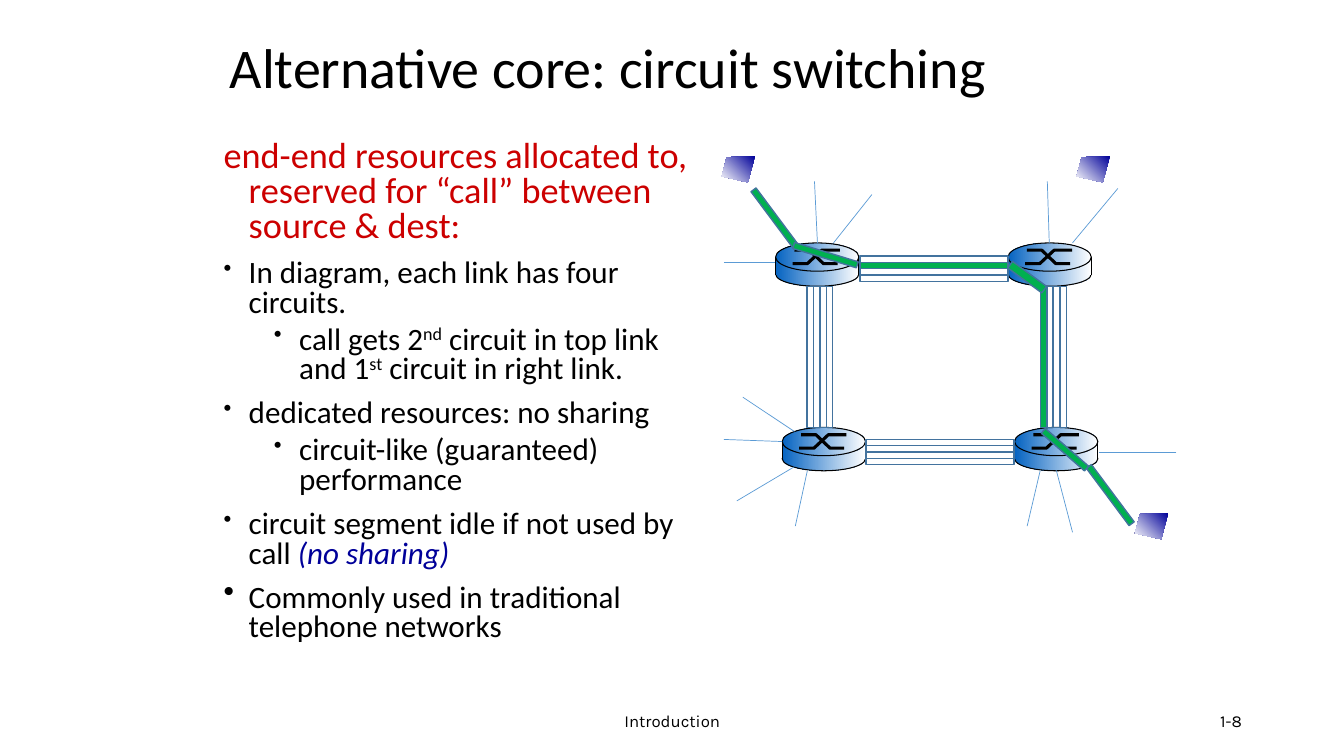
"""Build the slide on circuit switching as an alternative network core."""
from dataclasses import dataclass

from lxml.etree import SubElement
from pptx import Presentation
from pptx.dml.color import RGBColor
from pptx.enum.shapes import MSO_CONNECTOR, MSO_SHAPE
from pptx.enum.text import MSO_ANCHOR, PP_ALIGN
from pptx.oxml.ns import qn
from pptx.util import Pt


@dataclass
class Theme:
    black = RGBColor.from_string("000000")
    white = RGBColor.from_string("FFFFFF")
    red = RGBColor.from_string("CC0000")
    navy = RGBColor.from_string("000099")
    router = RGBColor.from_string("0563C1")
    circuit = RGBColor.from_string("43739E")
    call = RGBColor.from_string("00B050")
    access = RGBColor.from_string("5B9BD5")
    font = "Calibri"
    footer_font = "Karla"
    title_size = 40
    lead_size = 25.9
    body_size = 22.2
    footer_size = 12


theme = Theme()
deck = Presentation()
deck.slide_width, deck.slide_height = Pt(960), Pt(540)
slide = deck.slides.add_slide(deck.slide_layouts[6])
shapes = slide.shapes


def paint(shape, solid=None, fade=None, angle=0, outline=None, weight=1):
    shape.shadow.inherit = False
    if fade is not None:
        shape.fill.gradient()
        shape.fill.gradient_angle = angle
        for stop, color in zip(shape.fill.gradient_stops, (fade, theme.white)):
            stop.color.rgb = color
    elif solid is not None:
        shape.fill.solid()
        shape.fill.fore_color.rgb = solid
    else:
        shape.fill.background()
    if outline is None:
        shape.line.fill.background()
    else:
        shape.line.color.rgb = outline
        shape.line.width = Pt(weight)


def draw_line(x1, y1, x2, y2, color, weight):
    line = shapes.add_connector(MSO_CONNECTOR.STRAIGHT, Pt(x1), Pt(y1), Pt(x2), Pt(y2))
    line.line.color.rgb = color
    line.line.width = Pt(weight)
    SubElement(line._element.spPr, qn("a:effectLst"))


labels = [
    ("Introduction", 318.2, 500.4, 324, 28.8, PP_ALIGN.CENTER, theme.footer_font, theme.footer_size),
    ("Alternative core: circuit switching", 157, 21.6, 612, 56.9, PP_ALIGN.LEFT, theme.font, theme.title_size),
    ("1-8", 678.2, 500.4, 216, 28.8, PP_ALIGN.RIGHT, theme.footer_font, theme.footer_size),
]
for text, left, top, width, height, align, font, size in labels:
    frame = shapes.add_textbox(Pt(left), Pt(top), Pt(width), Pt(height)).text_frame
    frame.word_wrap = True
    frame.vertical_anchor = MSO_ANCHOR.MIDDLE
    label = frame.paragraphs[0]
    label.text = text
    label.alignment = align
    label.line_spacing = 0.9 if size == theme.title_size else 1.0
    label.font.name = font
    label.font.size = Pt(size)
    label.font.color.rgb = theme.black

# level, bullet size in percent, runs as (text, style)
points = [
    (0, None, [("end-end resources allocated to, reserved for “call” between source & dest:", "")]),
    (0, 75, [("In diagram, each link has four circuits.", "")]),
    (1, 75, [("call gets 2", ""), ("nd", "super"), (" circuit in top link and 1", ""),
             ("st", "super"), (" circuit in right link.", "")]),
    (0, 75, [("dedicated resources: no sharing", "")]),
    (1, 75, [("circuit-like (guaranteed) performance", "")]),
    (0, 75, [("circuit segment idle if not used by call ", ""), ("(no sharing)", "accent")]),
    (0, 100, [("Commonly used in traditional telephone networks", "")]),
]
body = shapes.add_textbox(Pt(152.6), Pt(97.2), Pt(351.4), Pt(365.8)).text_frame
body.word_wrap = True
for index, (level, bullet_size, runs) in enumerate(points):
    point = body.add_paragraph() if index else body.paragraphs[0]
    point.level = level
    point.line_spacing = 0.8
    if index:
        point.space_before = Pt(5 if level else 10)
    properties = point._p.get_or_add_pPr()
    properties.set("marL", str(Pt(54 if level else 18)))
    properties.set("indent", str(Pt(-18)))
    if bullet_size:
        SubElement(properties, qn("a:buSzPct")).set("val", str(bullet_size * 1000))
        SubElement(properties, qn("a:buChar")).set("char", "•")
    point.font.name = theme.font
    point.font.size = Pt(theme.body_size if index else theme.lead_size)
    point.font.color.rgb = theme.black if index else theme.red
    for text, style in runs:
        run = point.add_run()
        run.text = text
        if style == "super":
            run._r.get_or_add_rPr().set("baseline", "30000")
        elif style == "accent":
            run.font.italic = True
            run.font.color.rgb = theme.navy

for x, y in [(515.5, 111.6), (769, 111.6), (810.7, 366.5)]:
    outline = shapes.build_freeform(Pt(x + 23.8), Pt(y))
    corners = [(3.6, 0.7), (0, 14.4), (18.7, 18.7)]
    outline.add_line_segments([(Pt(x + dx), Pt(y + dy)) for dx, dy in corners], close=True)
    paint(outline.convert_to_shape(), fade=theme.navy, angle=225)

router_parts = [
    (MSO_SHAPE.OVAL, 13.7, 17.3, theme.black),
    (MSO_SHAPE.RECTANGLE, 11.9, 10.8, None),
    (MSO_SHAPE.OVAL, 0, 20.2, theme.black),
]
router_strokes = [
    [(12.2, 14.8), (22.7, 14.8), (33, 5.2), (45.9, 5.2)],
    [(13.5, 5.2), (24.1, 5.2), (34.2, 14.8), (44.3, 14.8)],
]
for x, y in [(554, 173.5), (720, 173.5), (558.7, 305.3), (724.7, 305.3)]:
    for kind, dy, height, edge in router_parts:
        part = shapes.add_shape(kind, Pt(x), Pt(y + dy), Pt(59.5), Pt(height))
        paint(part, fade=theme.router, outline=edge, weight=0.75)
    for stroke in router_strokes:
        track = [(Pt(x + dx), Pt(y + dy)) for dx, dy in stroke]
        builder = shapes.build_freeform(*track[0])
        builder.add_line_segments(track[1:], close=False)
        paint(builder.convert_to_shape(), outline=theme.black, weight=2.25)
    for side in (x, x + 59.5):
        draw_line(side, y + 10.1, side, y + 23.2, theme.black, 0.75)

# left, top, length, rotation, step right, step down, circuit used by the call
links = [
    (614.2, 182.9, 105.8, 0, 0, 4.5, 1),
    (618.5, 313.9, 105.8, 0, 0, 4.5, None),
    (528.3, 252.7, 100.8, 90, 4.6, 0, None),
    (694.9, 252.7, 100.8, 90, 4.7, 0, 0),
]
segments = [
    (left + lane * right, top + lane * down, length, 4.5, rotation, lane == used)
    for left, top, length, rotation, right, down, used in links
    for lane in range(4)
]
segments += [
    (527.8, 154.1, 51.8, 4.5, 53.3, True),
    (767.5, 351.4, 51.1, 4.5, 53.3, True),
    (565.9, 180, 47.5, 4.5, 16.9, True),
    (740.2, 319, 41, 4.5, 41.1, True),
    (718.6, 195.1, 30.2, 5.8, 36.3, True),
]
for left, top, length, thickness, rotation, in_call in segments:
    segment = shapes.add_shape(MSO_SHAPE.RECTANGLE, Pt(left), Pt(top), Pt(length), Pt(thickness))
    segment.rotation = rotation
    paint(segment, solid=theme.call if in_call else None, outline=theme.circuit)

access_lines = [
    (581.8, 129.6, 583.9, 173.5), (622.8, 139, 595.4, 173.5), (517, 187.2, 553.7, 187.2),
    (517, 313.9, 558.7, 315.4), (530.6, 283.7, 567.4, 308.2), (526.3, 357.8, 567.4, 333.4),
    (568.1, 375.8, 576.7, 336.2), (840.2, 323.3, 784.8, 323.3), (766.1, 380.2, 754.6, 336.2),
    (733.7, 375.8, 743, 336.2), (748.1, 129.6, 749.5, 173.5), (798.5, 134.6, 766.1, 173.5),
]
for ends in access_lines:
    draw_line(*ends, theme.access, 0.5)

deck.save("out.pptx")
